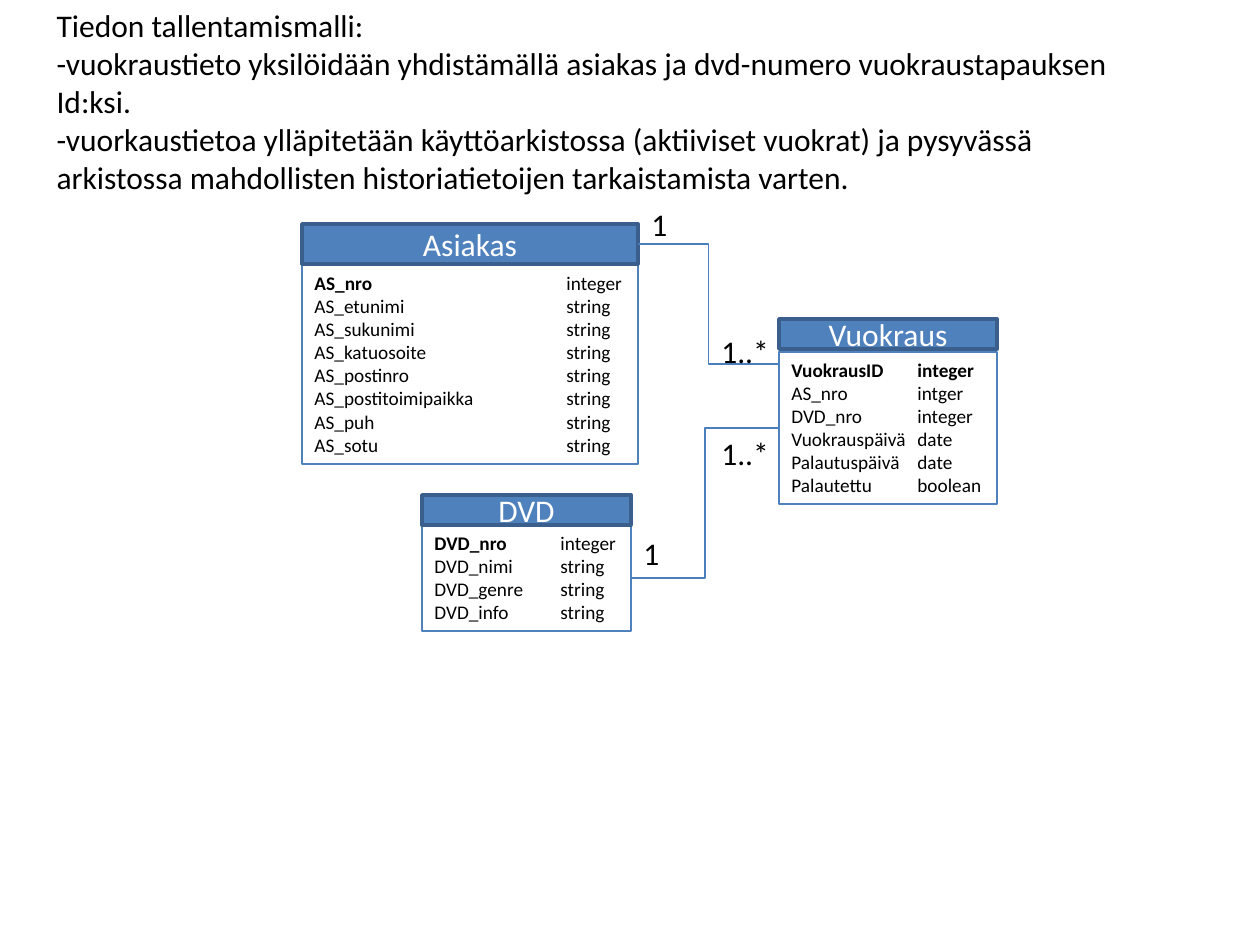
"""Build the data storage model slide for a DVD rental service."""
from dataclasses import dataclass

from lxml import etree
from pptx import Presentation
from pptx.dml.color import RGBColor
from pptx.enum.shapes import MSO_CONNECTOR, MSO_SHAPE
from pptx.enum.text import MSO_ANCHOR, MSO_AUTO_SIZE, PP_ALIGN
from pptx.oxml.ns import qn
from pptx.util import Emu, Pt

PX = 914400 // 126
SLIDE_SIZE = (1260, 945)
TITLE_ONLY = 5
TAB_STOPS = (126, 252)
LEFT_SITE, RIGHT_SITE = 1, 3
RECTANGLE, ELBOW = MSO_SHAPE.RECTANGLE, MSO_CONNECTOR.ELBOW
LEFT, CENTER = PP_ALIGN.LEFT, PP_ALIGN.CENTER
TOP, MIDDLE = MSO_ANCHOR.TOP, MSO_ANCHOR.MIDDLE
NO_AUTOFIT = MSO_AUTO_SIZE.NONE


@dataclass(frozen=True)
class Theme:
    """Colours, type and line sizes of the slide."""
    font: str = "Calibri"
    text: str = "000000"
    header_text: str = "FFFFFF"
    accent: str = "4F81BD"
    header_line: str = "3A5F8C"
    relation: str = "4B7EBC"
    large: int = 18
    small: int = 11
    thin: float = 0.75
    thick: float = 2


THEME = Theme()

INTRO = (
    "Tiedon tallentamismalli:",
    "-vuokraustieto yksilöidään yhdistämällä asiakas ja dvd-numero vuokraustapauksen",
    "Id:ksi.",
    "-vuorkaustietoa ylläpitetään käyttöarkistossa (aktiiviset vuokrat) ja pysyvässä",
    "arkistossa mahdollisten historiatietoijen tarkaistamista varten.",
)
CUSTOMER_FIELDS = (
    ("AS_nro", "\t\tinteger"),
    ("AS_etunimi", "\t\tstring"),
    ("AS_sukunimi", "\t\tstring"),
    ("AS_katuosoite", "\t\tstring"),
    ("AS_postinro", "\t\tstring"),
    ("AS_postitoimipaikka", "\tstring"),
    ("AS_puh", "\t\tstring"),
    ("AS_sotu", "\t\tstring"),
)
DVD_FIELDS = (
    ("DVD_nro", "\tinteger"),
    ("DVD_nimi", "\tstring"),
    ("DVD_genre", "\tstring"),
    ("DVD_info", "\tstring"),
)
RENTAL_FIELDS = (
    ("VuokrausID", "\tinteger"),
    ("AS_nro", "\tintger"),
    ("DVD_nro", "\tinteger"),
    ("Vuokrauspäivä", "\tdate"),
    ("Palautuspäivä", "\tdate"),
    ("Palautettu", "\tboolean"),
)
MULTIPLICITIES = (
    ("1", 639, 199, 42),
    ("1", 631, 528, 42),
    ("1..*", 709, 326, 73),
    ("1..*", 709, 428, 73),
)


def px(*lengths):
    """Turn pixel lengths into EMU."""
    return [Emu(length * PX) for length in lengths]


def apply(target, formats):
    """Set each format value on the target."""
    for attribute, value in formats.items():
        setattr(target, attribute, value)


def set_line(line, color, width):
    """Give a line its colour and width in points."""
    line.color.rgb = RGBColor.from_string(color)
    line.width = Pt(width)


def set_frame(frame, anchor, wrap):
    """Fix the anchor and wrapping of a text frame."""
    apply(frame, {"word_wrap": wrap, "auto_size": NO_AUTOFIT,
                  "vertical_anchor": anchor})


def add_run(paragraph, text, size, color=THEME.text, bold=False):
    """Append formatted text to a paragraph."""
    run = paragraph.add_run()
    run.text = text
    apply(run.font, {"name": THEME.font, "size": Pt(size), "bold": bold})
    run.font.color.rgb = RGBColor.from_string(color)


def paragraphs(frame, count, alignment=LEFT):
    """Yield the given number of aligned paragraphs."""
    for index in range(count):
        paragraph = frame.add_paragraph() if index else frame.paragraphs[0]
        paragraph.alignment = alignment
        yield paragraph


def add_tab_stops(paragraph):
    """Place the left tab stops for the type column."""
    tabs = etree.SubElement(paragraph._p.get_or_add_pPr(), qn("a:tabLst"))
    for position in px(*TAB_STOPS):
        etree.SubElement(tabs, qn("a:tab"), pos=str(position), algn="l")


def add_intro(slide):
    """Fill the title placeholder with the description of the model."""
    intro = slide.shapes.title
    left, top, width, height = px(44, 0, 1087, 242)
    apply(intro, {"left": left, "top": top, "width": width, "height": height})
    set_frame(intro.text_frame, TOP, True)
    for paragraph, text in zip(paragraphs(intro.text_frame, len(INTRO)), INTRO):
        add_run(paragraph, text, THEME.large)


def add_box(slide, bounds, line_color, line_width):
    """Add an unfilled rectangle with an outline."""
    box = slide.shapes.add_shape(RECTANGLE, *px(*bounds))
    box.shadow.inherit = False
    box.fill.background()
    set_line(box.line, line_color, line_width)
    return box


def add_header(slide, name, bounds):
    """Add the filled name bar of an entity."""
    header = add_box(slide, bounds, THEME.header_line, THEME.thick)
    header.fill.solid()
    header.fill.fore_color.rgb = RGBColor.from_string(THEME.accent)
    set_frame(header.text_frame, MIDDLE, True)
    for paragraph in paragraphs(header.text_frame, 1, CENTER):
        add_run(paragraph, name, THEME.large, THEME.header_text)
    return header


def add_fields(slide, fields, bounds, bold_type):
    """Add the field list of an entity, its key first and bold."""
    body = add_box(slide, bounds, THEME.accent, THEME.thin)
    set_frame(body.text_frame, TOP, False)
    rows = zip(paragraphs(body.text_frame, len(fields)), fields)
    for index, (paragraph, (field, kind)) in enumerate(rows):
        is_key = index == 0
        add_tab_stops(paragraph)
        add_run(paragraph, field, THEME.small, bold=is_key)
        add_run(paragraph, kind, THEME.small, bold=is_key and bold_type)
    return body


def add_entity(slide, name, fields, left, width, header_span, body_span, bold_type=False):
    """Add an entity from its top and height spans; return header and body."""
    body = add_fields(slide, fields, (left, body_span[0], width, body_span[1]), bold_type)
    header = add_header(slide, name, (left, header_span[0], width, header_span[1]))
    return header, body


def add_relation(slide, start, end):
    """Add an elbow connector between two points."""
    relation = slide.shapes.add_connector(ELBOW, *px(*start, *end))
    set_line(relation.line, THEME.relation, THEME.thin)
    etree.SubElement(relation._element.spPr, qn("a:effectLst"))
    return relation


def add_multiplicity(slide, text, left, top, width):
    """Add a multiplicity label beside a relation end."""
    label = slide.shapes.add_textbox(*px(left, top, width, 50))
    set_frame(label.text_frame, TOP, False)
    for paragraph in paragraphs(label.text_frame, 1):
        add_run(paragraph, text, THEME.large)


def main():
    """Build and save the slide."""
    deck = Presentation()
    deck.slide_width, deck.slide_height = px(*SLIDE_SIZE)
    slide = deck.slides.add_slide(deck.slide_layouts[TITLE_ONLY])
    add_intro(slide)
    customer, _ = add_entity(slide, "Asiakas", CUSTOMER_FIELDS, 302, 336, (224, 40), (265, 199))
    _, dvd = add_entity(slide, "DVD", DVD_FIELDS, 422, 209, (495, 30), (525, 106))
    _, rental = add_entity(slide, "Vuokraus", RENTAL_FIELDS, 779, 218, (319, 30), (352, 152), True)
    add_relation(slide, (638, 244), (779, 364)).begin_connect(customer, RIGHT_SITE)
    dvd_relation = add_relation(slide, (631, 578), (779, 428))
    dvd_relation.begin_connect(dvd, RIGHT_SITE)
    dvd_relation.end_connect(rental, LEFT_SITE)
    for multiplicity in MULTIPLICITIES:
        add_multiplicity(slide, *multiplicity)
    deck.save("out.pptx")


if __name__ == "__main__":
    main()
